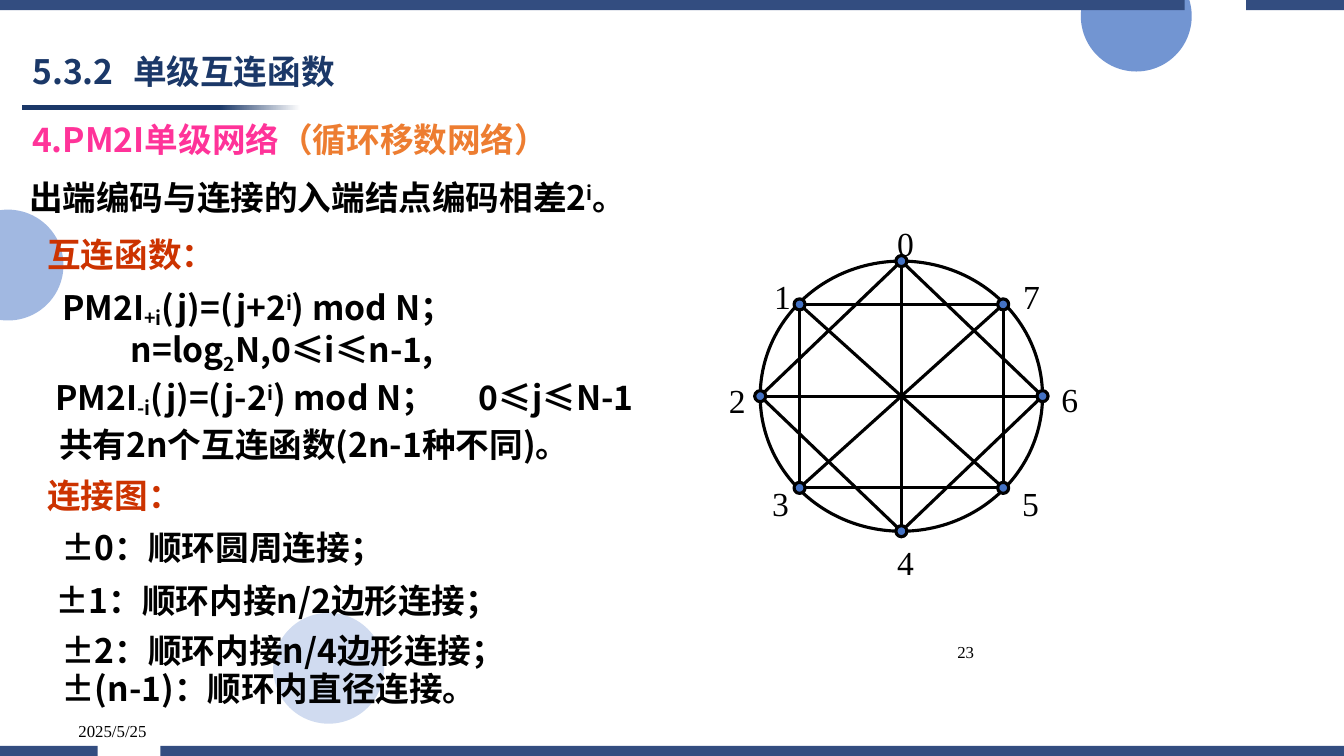
"""Builds the slide on the PM2I single-stage interconnection network."""
from dataclasses import dataclass
from typing import Optional

from lxml import etree
from pptx import Presentation
from pptx import util as u
from pptx.dml import color as dc
from pptx.enum import shapes as es, text as et
from pptx.oxml import ns

COLORS = {"navy": "1B3868", "bar": "334D80", "blue": "4472C4", "black": "000000",
          "white": "FFFFFF", "pink": "FF3399", "orange": "ED7D31", "red": "CC3300"}
SANS, SERIF = "Noto Sans CJK SC", "Times New Roman"
SLIDE_W, SLIDE_H = 13.33, 7.5
BAR_H = 0.1
CENTER_X, CENTER_Y = 8.94, 3.93
RADIUS_X, RADIUS_Y = 1.4, 1.34
DIAGONAL_X, DIAGONAL_Y = 1.01, 0.91
NODE_SIZE = 0.11


@dataclass
class Run:
    text: str
    baseline: int = 0
    color: Optional[str] = None


@dataclass
class Line:
    runs: list[Run]
    indent: float = 0
    tab: float = 0
    color: str = "black"


@dataclass
class Block:
    left: float
    top: float
    width: float
    lines: list[Line]
    height: float = 0.5


@dataclass
class Node:
    dx: float
    dy: float
    label_left: float
    label_top: float

    @property
    def x(self) -> float:
        return CENTER_X + self.dx

    @property
    def y(self) -> float:
        return CENTER_Y + self.dy


@dataclass
class Bubble:
    left: float
    top: float
    opacity: int


BUBBLES = [Bubble(2.71, 6.08, 25), Bubble(-0.47, 2.08, 50), Bubble(10.72, -0.39, 75)]
BARS = [(0, [(0, 11.75), (12.36, SLIDE_W)]),
        (SLIDE_H - BAR_H, [(0, 0.97), (1.59, SLIDE_W)])]
TITLE = Line([Run("5.3.2\t单级互连函数")], tab=1.04, color="navy")
BLOCKS = [
    Block(0.22, 1.13, 9.5, [Line([Run("4.PM2I单级网络", color="pink"),
                                  Run("（循环移数网络）", color="orange")])]),
    Block(0.04, 1.71, 9.5, [Line([Run("出端编码与连接的入端结点编码相差2"), Run("i", 30),
                                  Run("。")], 0.15)]),
    Block(0.22, 2.27, 5.54, [Line([Run("互连函数：")], 0.15, color="red")]),
    Block(0.22, 2.8, 9.5, [
        Line([Run("PM2I"), Run("+i", -14), Run("(j)=(j+2"), Run("i", 30),
              Run(") mod N；")], 0.3),
        Line([Run("n=log"), Run("2", -25), Run("N,0≤i≤n-1,")], 0.98)], 0.91),
    Block(0.15, 3.69, 9.5, [
        Line([Run("PM2I"), Run("-i", -14), Run("(j)=(j-2"), Run("i", 30),
              Run(") mod N；\t0≤j≤N-1")], 0.3, tab=4.38)]),
    Block(0.19, 4.16, 9.5, [Line([Run("共有2n个互连函数(2n-1种不同)。")], 0.3)]),
    Block(0.22, 4.66, 2.06, [Line([Run("连接图：")], 0.15, color="red")]),
    Block(0.21, 5.18, 6.02, [Line([Run("±0：顺环圆周连接；")], 0.3)]),
    Block(0.15, 5.7, 6.02, [Line([Run("±1：顺环内接n/2边形连接；")], 0.3)]),
    Block(0.21, 6.2, 6.33, [Line([Run("±2：顺环内接n/4边形连接；")], 0.3)]),
    Block(0.21, 6.58, 6.33, [Line([Run("±(n-1)：顺环内直径连接。")], 0.3)]),
]
NODES = [
    Node(0, -RADIUS_Y, 8.8, 2.16),
    Node(-DIAGONAL_X, -DIAGONAL_Y, 7.58, 2.69),
    Node(-RADIUS_X, 0, 7.13, 3.72),
    Node(-DIAGONAL_X, DIAGONAL_Y, 7.56, 4.74),
    Node(0, RADIUS_Y, 8.8, 5.33),
    Node(DIAGONAL_X, DIAGONAL_Y, 10.04, 4.74),
    Node(RADIUS_X, 0, 10.43, 3.71),
    Node(DIAGONAL_X, -DIAGONAL_Y, 10.05, 2.69),
]


def rgb(name: str) -> dc.RGBColor:
    return dc.RGBColor.from_string(COLORS[name])


def inches(*lengths: float) -> list[u.Length]:
    return [u.Inches(length) for length in lengths]


def write_line(paragraph, line: Line, font: str = SANS, size: int = 24, bold: bool = True) -> None:
    props = paragraph._p.get_or_add_pPr()
    props.set("marL", "0")
    props.set("indent", str(u.Inches(line.indent)))
    if line.tab:
        tabs = etree.SubElement(props, ns.qn("a:tabLst"))
        etree.SubElement(tabs, ns.qn("a:tab"), pos=str(u.Inches(line.tab)), algn="l")
    paragraph.font.size = u.Pt(size)
    paragraph.font.bold = bold
    paragraph.font.color.rgb = rgb(line.color)
    paragraph.font.name = font
    etree.SubElement(props.find(ns.qn("a:defRPr")), ns.qn("a:ea"), typeface=font)
    for part in line.runs:
        run = paragraph.add_run()
        run.text = part.text
        if part.baseline:
            run._r.get_or_add_rPr().set("baseline", str(part.baseline * 1000))
        if part.color:
            run.font.color.rgb = rgb(part.color)


def add_block(shapes, block: Block) -> None:
    frame = shapes.add_textbox(*inches(block.left, block.top, block.width, block.height)).text_frame
    frame.word_wrap = True
    frame.auto_size = et.MSO_AUTO_SIZE.SHAPE_TO_FIT_TEXT
    for index, line in enumerate(block.lines):
        write_line(frame.add_paragraph() if index else frame.paragraphs[0], line)


def add_footer(shapes, left: float, top: float, wording: str, align: et.PP_ALIGN) -> None:
    frame = shapes.add_textbox(*inches(left, top, 2.08, 0.5)).text_frame
    frame.word_wrap = True
    frame.vertical_anchor = et.MSO_ANCHOR.MIDDLE
    frame.paragraphs[0].alignment = align
    write_line(frame.paragraphs[0], Line([Run(wording)]), SERIF, 12, False)


def add_ellipse(shapes, left: float, top: float, width: float, height: float,
                fill: Optional[str] = None, outlined: bool = True):
    ellipse = shapes.add_shape(es.MSO_SHAPE.OVAL, *inches(left, top, width, height))
    ellipse.shadow.inherit = False
    if fill:
        ellipse.fill.solid()
        ellipse.fill.fore_color.rgb = rgb(fill)
    else:
        ellipse.fill.background()
    if outlined:
        ellipse.line.color.rgb = rgb("black")
        ellipse.line.width = u.Pt(2.25)
    else:
        ellipse.line.fill.background()
    return ellipse


def add_decoration(shapes) -> None:
    for bubble in BUBBLES:
        disc = add_ellipse(shapes, bubble.left, bubble.top, 1.1, 1.1, "blue", False)
        tint = disc._element.spPr.find(".//" + ns.qn("a:srgbClr"))
        etree.SubElement(tint, ns.qn("a:alpha"), val=str(bubble.opacity * 1000))
    underline = shapes.add_shape(es.MSO_SHAPE.RECTANGLE, *inches(0.22, 1.04, 2.76, 0.05))
    underline.shadow.inherit = False
    underline.line.fill.background()
    underline.fill.gradient()
    underline.fill.gradient_angle = 0
    for stop, position, name in zip(underline.fill.gradient_stops, (0.71, 1), ("navy", "white")):
        stop.position = position
        stop.color.rgb = rgb(name)
    for top, spans in BARS:
        builder = shapes.build_freeform(*inches(spans[0][0], top))
        for start, end in spans:
            builder.move_to(*inches(start, top))
            corners = [(end, top), (end, top + BAR_H), (start, top + BAR_H)]
            builder.add_line_segments([inches(*corner) for corner in corners], close=True)
        bar = builder.convert_to_shape()
        bar.shadow.inherit = False
        bar.fill.solid()
        bar.fill.fore_color.rgb = rgb("bar")
        bar.line.fill.background()


def add_chord(shapes, start: Node, end: Node) -> None:
    chord = shapes.add_connector(es.MSO_CONNECTOR.STRAIGHT,
                                 *inches(start.x, start.y, end.x, end.y))
    chord.line.color.rgb = rgb("black")
    chord.line.width = u.Pt(2.25)
    etree.SubElement(chord._element.spPr, ns.qn("a:effectLst"))


def add_network(shapes) -> None:
    add_ellipse(shapes, CENTER_X - RADIUS_X, CENTER_Y - RADIUS_Y, 2 * RADIUS_X, 2 * RADIUS_Y)
    count = len(NODES)
    for step, starts in ((2, count), (4, count // 2)):
        for index in range(starts):
            add_chord(shapes, NODES[index], NODES[(index + step) % count])
    for index, node in enumerate(NODES):
        add_ellipse(shapes, node.x - NODE_SIZE / 2, node.y - NODE_SIZE / 2,
                    NODE_SIZE, NODE_SIZE, "blue")
        label = shapes.add_textbox(*inches(node.label_left, node.label_top, 0.37, 0.51)).text_frame
        label.word_wrap = False
        label.auto_size = et.MSO_AUTO_SIZE.SHAPE_TO_FIT_TEXT
        write_line(label.paragraphs[0], Line([Run(str(index))]), SERIF, bold=False)


def main() -> None:
    deck = Presentation()
    deck.slide_width, deck.slide_height = inches(SLIDE_W, SLIDE_H)
    slide = deck.slides.add_slide(deck.slide_layouts[5])
    add_decoration(slide.shapes)
    title = slide.shapes.title
    title.left, title.top, title.width, title.height = inches(0.22, 0.45, 4.74, 0.56)
    title.text_frame.auto_size = et.MSO_AUTO_SIZE.NONE
    title.text_frame.vertical_anchor = et.MSO_ANCHOR.MIDDLE
    heading = title.text_frame.paragraphs[0]
    heading.alignment = et.PP_ALIGN.LEFT
    heading.line_spacing = 0.9
    write_line(heading, TITLE)
    add_footer(slide.shapes, 0.68, 7, "2025/5/25", et.PP_ALIGN.LEFT)
    add_footer(slide.shapes, 7.68, 6.22, "23", et.PP_ALIGN.RIGHT)
    for block in BLOCKS:
        add_block(slide.shapes, block)
    add_network(slide.shapes.add_group_shape().shapes)
    deck.save("out.pptx")


if __name__ == "__main__":
    main()
